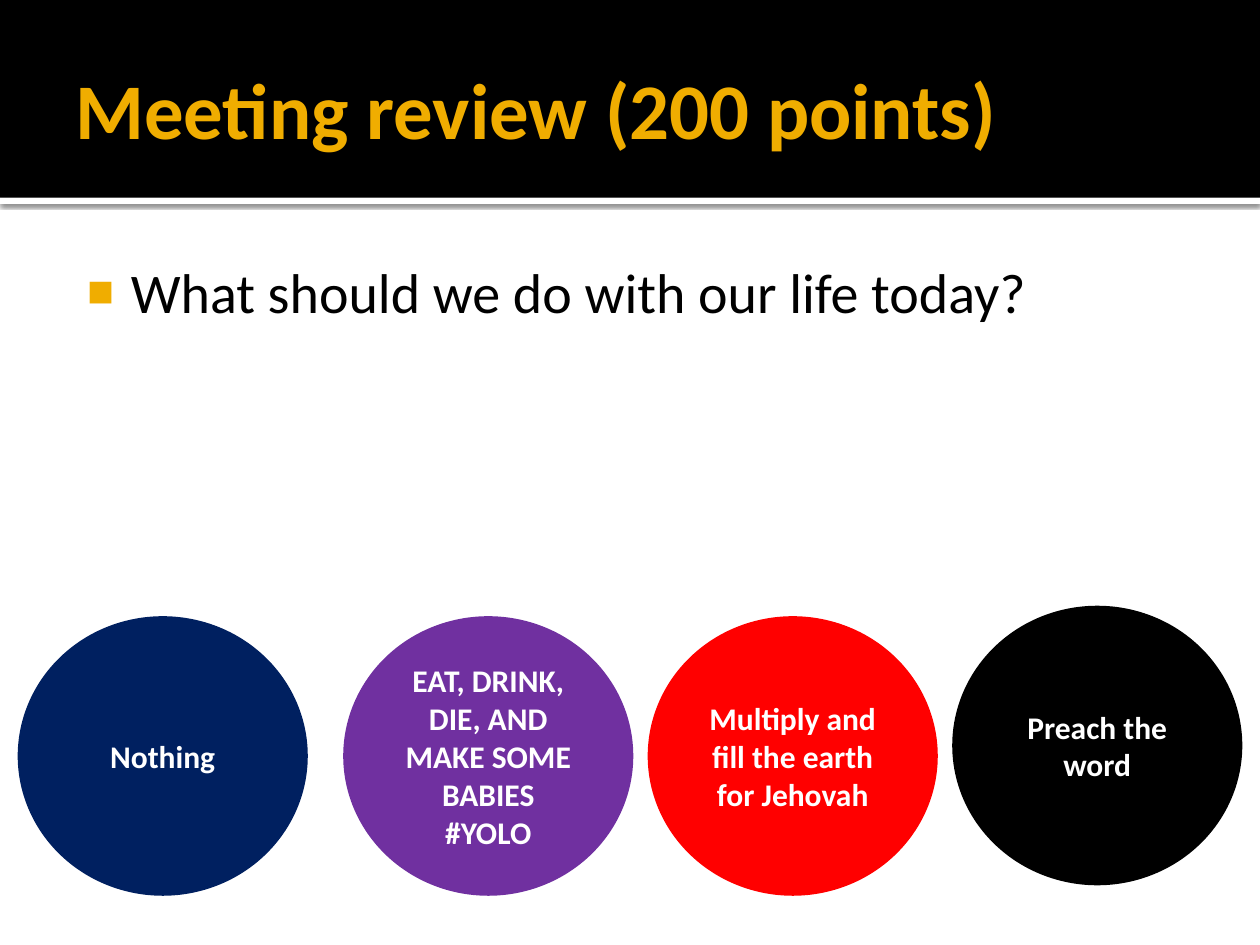
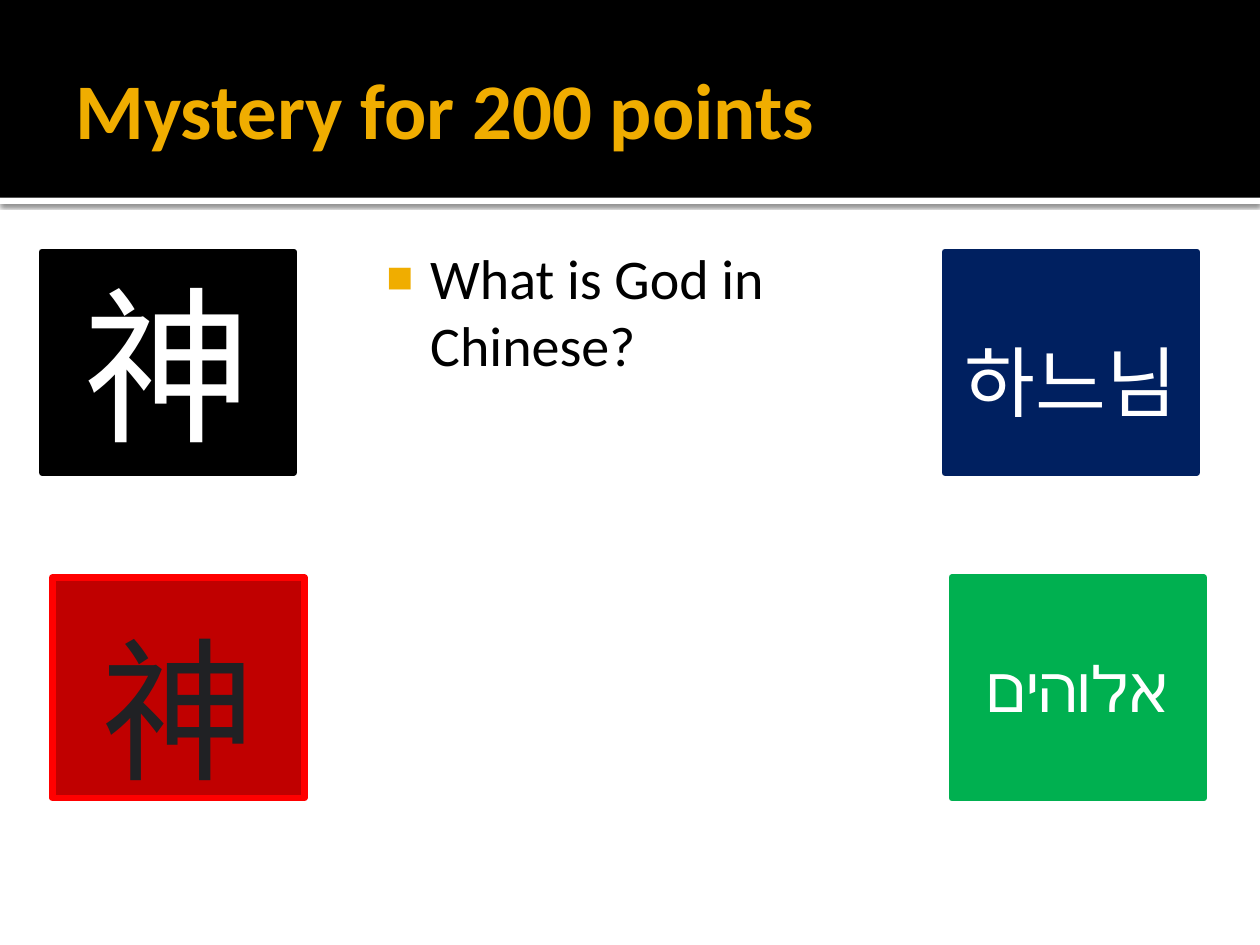
from lxml import etree
from pptx import Presentation
from pptx import util as u
from pptx.dml import color as c
from pptx.enum import shapes, text
from pptx.oxml import ns, parse_xml

BLACK, WHITE, GOLD = "000000", "FFFFFF", "F0AD00"
NAVY, RED = "002060", "FF0000"
SQUARE_BULLET = (
    f'<a:buClr {ns.nsdecls("a")}><a:srgbClr val="{GOLD}"/></a:buClr>',
    f'<a:buSzPct {ns.nsdecls("a")} val="80000"/>',
    f'<a:buFont {ns.nsdecls("a")} typeface="Arial"/>',
    f'<a:buChar {ns.nsdecls("a")} char="■"/>',
)
STRIP_SHADOW = (
    f'<a:outerShdw {ns.nsdecls("a")} blurRad="31750" dist="10160" dir="5400000" '
    'algn="tl" rotWithShape="0"><a:srgbClr val="000000"><a:alpha val="60000"/>'
    '</a:srgbClr></a:outerShdw>'
)


def write(box, words, size=18, color=WHITE, font="Calibri", bold=False,
          centred=True, middle=True, bullet=False, insets=(7.2, 3.6, 7.2, 3.6)):
    """Fill a box with one paragraph; a newline in words is a line break."""
    frame = box.text_frame
    frame.word_wrap = True
    frame.vertical_anchor = text.MSO_ANCHOR.MIDDLE if middle else text.MSO_ANCHOR.TOP
    frame.margin_left, frame.margin_top, frame.margin_right, frame.margin_bottom = map(u.Pt, insets)
    para = frame.paragraphs[0]
    para.alignment = text.PP_ALIGN.CENTER if centred else text.PP_ALIGN.LEFT
    if bullet:
        properties = para._p.get_or_add_pPr()
        properties.set("marL", str(u.Pt(34.5)))
        properties.set("indent", str(u.Pt(-25)))
        for element in SQUARE_BULLET:
            properties.append(parse_xml(element))
    for number, line in enumerate(words.split("\n")):
        if number:
            para.add_line_break()
        if line:
            span = para.add_run()
            span.text = line
            span.font.size, span.font.name, span.font.bold = u.Pt(size), font, bold
            span.font.color.rgb = c.RGBColor.from_string(color)


def add_box(page, kind, place, fill, line=None):
    box = page.shapes.add_shape(kind, *map(u.Pt, place))
    box.shadow.inherit = False
    box.fill.solid()
    box.fill.fore_color.rgb = c.RGBColor.from_string(fill)
    if line:
        box.line.color.rgb = c.RGBColor.from_string(line)
        box.line.width = u.Pt(3.78)
    else:
        box.line.fill.background()
    return box


deck = Presentation()
deck.slide_width, deck.slide_height = u.Pt(720), u.Pt(540)
OVAL, RECTANGLE = shapes.MSO_SHAPE.OVAL, shapes.MSO_SHAPE.RECTANGLE

# What both slides share: band, title and question
questions = [
    ("Meeting review (200 points)", "What should we do with our life today?", (36, 140, 648, 166)),
    ("Mystery for 200 points", "What is God in Chinese?", (207, 132, 306, 360)),
]
pages = []
for title, question, place in questions:
    page = deck.slides.add_slide(deck.slide_layouts[6])
    pages.append(page)
    strip = add_box(page, RECTANGLE, (0, 113, 720, 3.6), WHITE)
    effects = strip._element.spPr.find(ns.qn("a:effectLst"))
    effects.append(etree.fromstring(STRIP_SHADOW))
    add_box(page, RECTANGLE, (0, 0, 720, 113), BLACK)
    title_box = page.shapes.add_textbox(*map(u.Pt, (36, 12, 648, 99)))
    write(title_box, title, size=45, color=GOLD, bold=True, centred=False,
          insets=(7.2, 3.6, 3.6, 3.6))
    question_box = page.shapes.add_textbox(*map(u.Pt, place))
    write(question_box, question, size=32, color=BLACK, centred=False, middle=False,
          bullet=True, insets=(4.3, 7.2, 7.2, 3.6))

# Slide 1: four round answers
answers = [
    (12, 354, NAVY, "Nothing"),
    (546, 348, BLACK, "Preach the word"),
    (372, 354, RED, "Multiply and fill the earth for Jehovah"),
    (198, 354, "7030A0", "EAT, DRINK, DIE, AND MAKE SOME BABIES\n#YOLO"),
]
for left, top, fill, answer in answers:
    write(add_box(pages[0], OVAL, (left, top, 162, 156), fill, fill), answer, bold=True)

# Slide 2: four word cards
cards = [
    (24, 144, BLACK, BLACK, "神", 96, WHITE),
    (30, 330, "C00000", RED, "\n神", 88, "202124"),
    (544, 330, "00B050", "00B050", "אלוהים", 36, WHITE),
    (540, 144, NAVY, NAVY, "\n하느님", 44, WHITE),
]
for left, top, fill, line, word, size, color in cards:
    card = add_box(pages[1], RECTANGLE, (left, top, 144, 126), fill, line)
    write(card, word, size=size, color=color, font="Lato")

deck.save("out.pptx")
